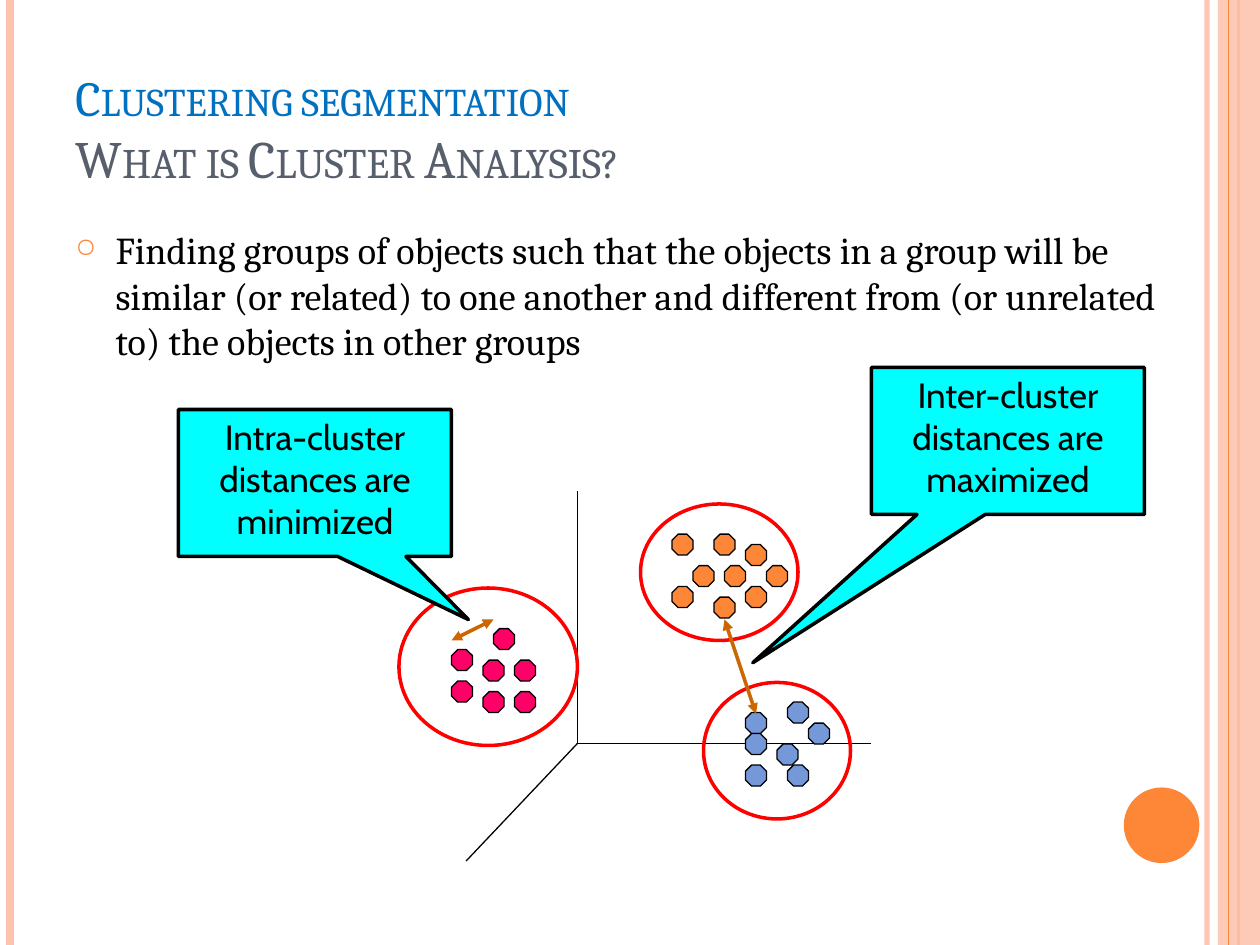
from lxml import etree
from pptx import Presentation
from pptx.dml.color import RGBColor
from pptx.enum import shapes, text
from pptx.oxml import ns
from pptx.util import Pt

PEACH = RGBColor(0xFE, 0xC3, 0xAE)
ORANGE = RGBColor(0xFE, 0x86, 0x37)
PINK = RGBColor(0xFF, 0x00, 0x66)
BLUE = RGBColor(0x75, 0x98, 0xD9)
CYAN = RGBColor(0x00, 0xFF, 0xFF)
RED = RGBColor(0xFF, 0x00, 0x00)
BROWN = RGBColor(0xCC, 0x66, 0x00)
BLACK = RGBColor(0x00, 0x00, 0x00)
TITLE_BLUE = RGBColor(0x00, 0x70, 0xC0)
TITLE_GRAY = RGBColor(0x57, 0x5F, 0x6D)

deck = Presentation()
deck.slide_width, deck.slide_height = Pt(720), Pt(540)
page = deck.slides.add_slide(deck.slide_layouts[6])


def add_line(start, end, color, width, arrows=False):
    line = page.shapes.add_connector(
        shapes.MSO_CONNECTOR.STRAIGHT, *map(Pt, (*start, *end)))
    line.line.color.rgb = color
    line.line.width = Pt(width)
    if arrows:
        for end_name in ("a:headEnd", "a:tailEnd"):
            etree.SubElement(line.line._ln, ns.qn(end_name), type="triangle")
    etree.SubElement(line._element.spPr, ns.qn("a:effectLst"))
    return line


def add_figure(kind, bounds, fill=None, outline=None, width=0.75):
    figure = page.shapes.add_shape(kind, *map(Pt, bounds))
    figure.shadow.inherit = False
    if fill is None:
        figure.fill.background()
    else:
        figure.fill.solid()
        figure.fill.fore_color.rgb = fill
    if outline is None:
        figure.line.fill.background()
    else:
        figure.line.color.rgb = outline
        figure.line.width = Pt(width)
    return figure


KIND = shapes.MSO_SHAPE
right_rule = add_line((689.8, 0), (689.8, 540), PEACH, 3)
add_line((5.8, 0), (5.8, 540), PEACH, 4.5)
add_line((707.8, 0), (707.8, 540), ORANGE, 1.5)
right_band = add_figure(KIND.RECTANGLE, (696, 0, 24, 540), PEACH)
add_line((702, 0), (702, 540), ORANGE, 0.75)
add_figure(KIND.OVAL, (642.2, 450, 43.2, 43.2), ORANGE)
for item, alpha in ((right_rule, 93000), (right_band, 87000)):
    color = item._element.spPr.find(".//" + ns.qn("a:srgbClr"))
    etree.SubElement(color, ns.qn("a:alpha"), val=str(alpha))

title = page.shapes.add_textbox(Pt(36), Pt(21.6), Pt(588), Pt(90)).text_frame
title.word_wrap = True
title.vertical_anchor = text.MSO_ANCHOR.BOTTOM
para = title.paragraphs[0]
for index, (words, size, color) in enumerate((
        ("Clustering segmentation ", 28, TITLE_BLUE),
        ("What is Cluster Analysis?", 30, TITLE_GRAY))):
    if index:
        para.add_line_break()
    span = para.add_run()
    span.text = words
    for name, value in {"name": "Cambria", "size": Pt(size)}.items():
        setattr(span.font, name, value)
    span.font.color.rgb = color
    span.font._element.set("cap", "small")

body = page.shapes.add_textbox(Pt(36), Pt(126), Pt(684 - 36), Pt(89.3)).text_frame
body.word_wrap = True
para = body.paragraphs[0]
para.space_before = Pt(6)
span = para.add_run()
span.text = ("Finding groups of objects such that the objects in a group will be "
             "similar (or related) to one another and different from "
             "(or unrelated to) the objects in other groups")
for name, value in {"name": "Cambria", "size": Pt(21.7)}.items():
    setattr(span.font, name, value)
span.font.color.rgb = BLACK
layout = para._p.get_or_add_pPr()
layout.set("marL", str(Pt(23)))
layout.set("indent", str(-Pt(23)))
bullet_color = etree.SubElement(layout, ns.qn("a:buClr"))
etree.SubElement(bullet_color, ns.qn("a:srgbClr"), val=str(ORANGE))
etree.SubElement(layout, ns.qn("a:buSzPct"), val="70000")
etree.SubElement(layout, ns.qn("a:buChar"), char="○")

origin = (330, 424.8)
for axis_end in ((330, 280.8), (498, 424.8), (266.4, 492)):
    add_line(origin, axis_end, BLACK, 0.75)

STEP, FIRST_ROW = 6, 305.2
clusters = (
    (ORANGE, ((66, 3), (69, 3), (68, 0), (68, 6), (73, 3), (71, 1),
              (64, 0), (71, 5), (64, 5))),
    (PINK, ((43, 11), (46, 12), (46, 15), (49, 12), (47, 9), (49, 15), (43, 14))),
    (BLUE, ((71, 17), (77, 18), (74, 20), (71, 22), (75, 22), (71, 19), (75, 16))),
)
for color, cells in clusters:
    for column, row in cells:
        dot = add_figure(KIND.OCTAGON, (column * STEP, FIRST_ROW + row * STEP, 12, 12),
                         color, BLACK)
        dot.adjustments[0] = 0.29

callouts = (
    ("Inter-cluster distances are maximized", (498, 210), (-0.935, 1.509),
     (432, 408), (414, 354)),
    ("Intra-cluster distances are minimized", (102, 234), (0.562, 0.929),
     (258, 366), (282, 354)),
)
rings = ((228, 336, 102, 90), (366, 288, 90, 78), (402, 390, 84, 78))
for bounds in rings:
    add_figure(KIND.OVAL, bounds, None, RED, 2)

for words, corner, pointer, start, end in callouts:
    add_line(start, end, BROWN, 2, arrows=True)
    box = add_figure(KIND.RECTANGULAR_CALLOUT, (*corner, 156, 84), CYAN, BLACK, 2)
    for index, value in enumerate(pointer):
        box.adjustments[index] = value
    box.text_frame.word_wrap = True
    box.text_frame.vertical_anchor = text.MSO_ANCHOR.TOP
    para = box.text_frame.paragraphs[0]
    para.alignment = text.PP_ALIGN.CENTER
    span = para.add_run()
    span.text = words
    for name, value in {"name": "Cabin", "size": Pt(20)}.items():
        setattr(span.font, name, value)
    span.font.color.rgb = BLACK

deck.save("out.pptx")
